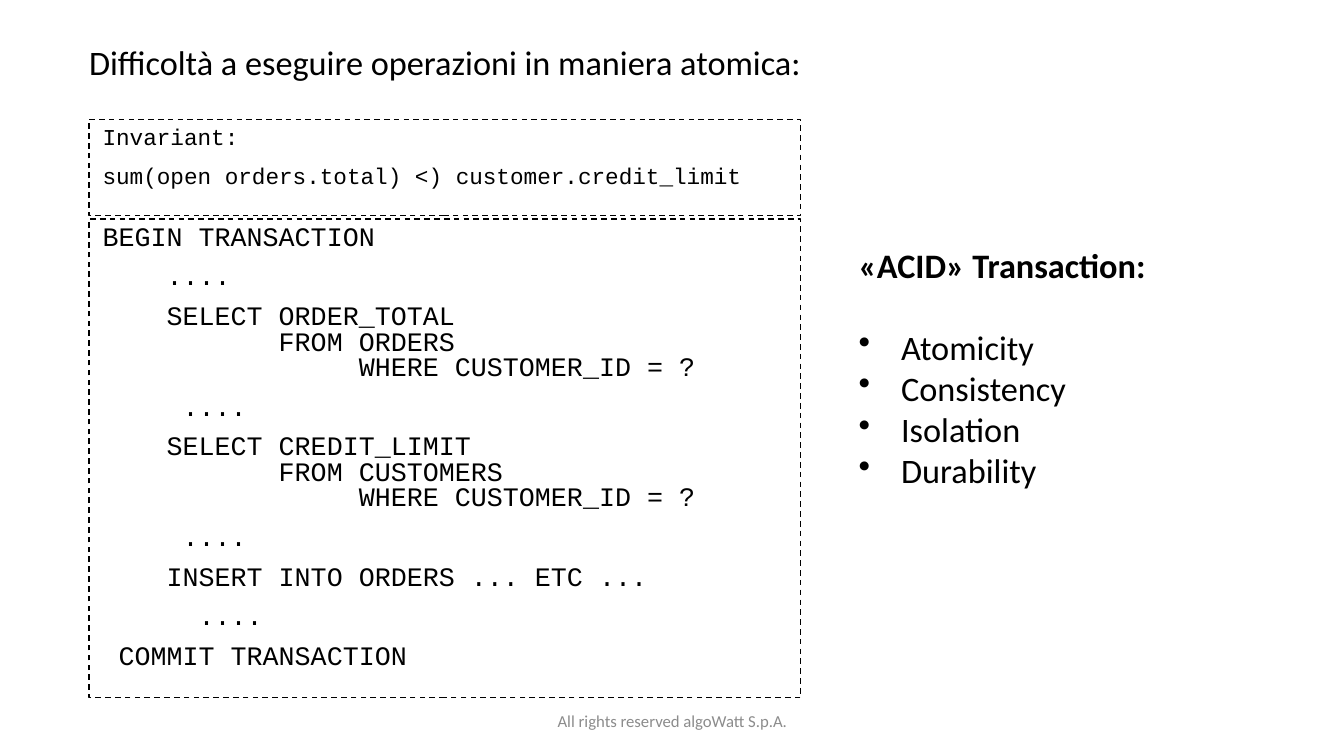
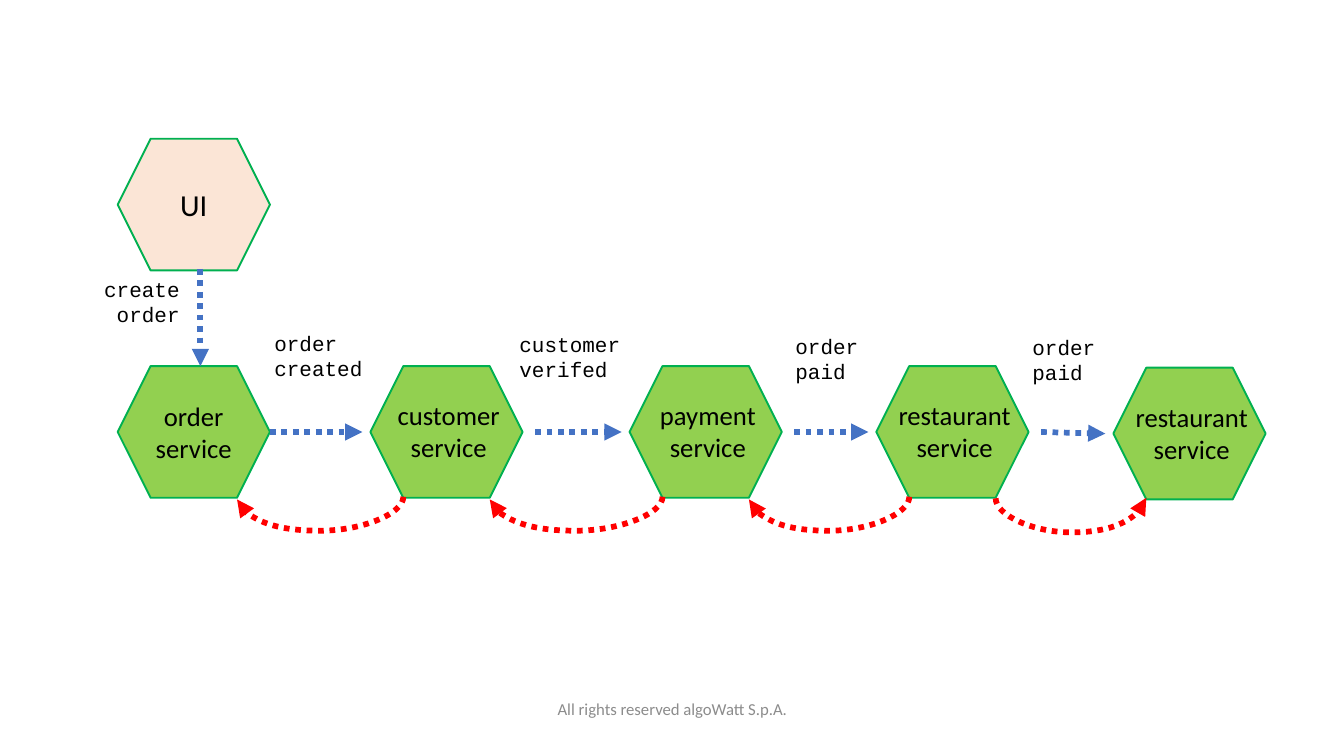
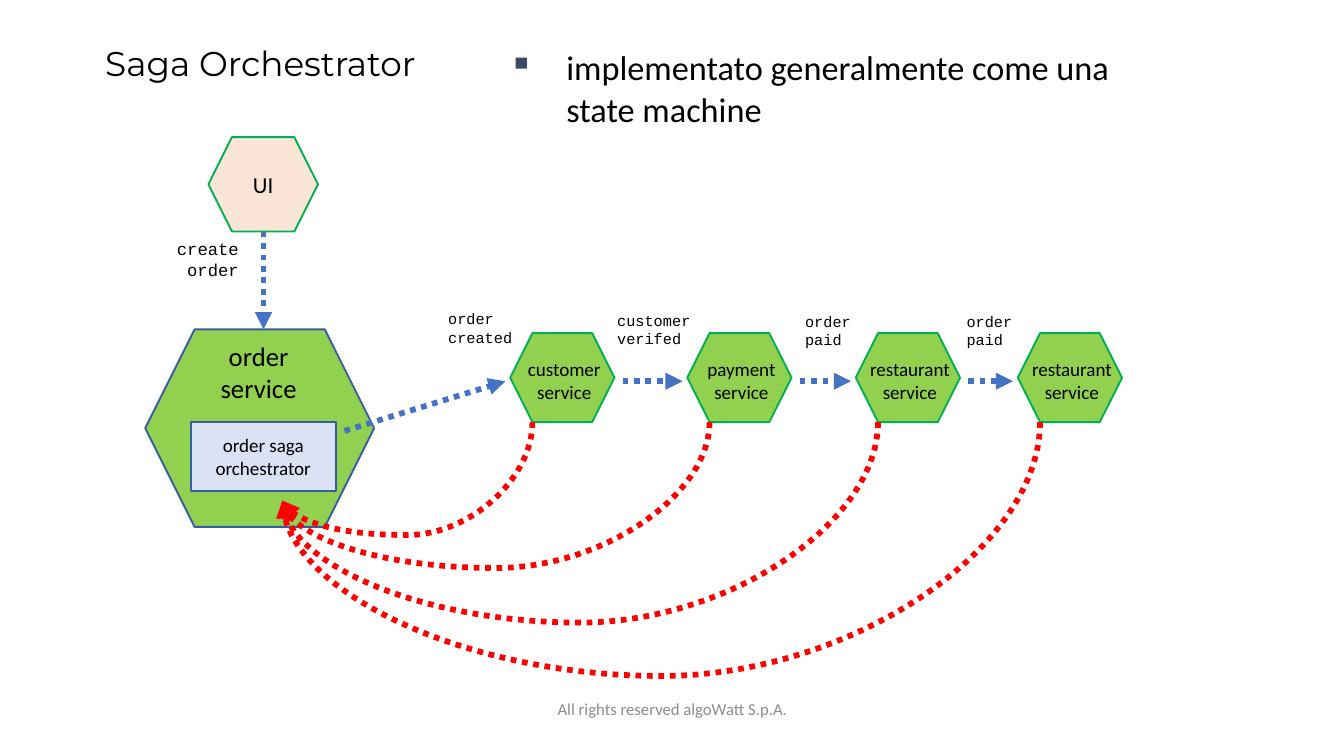
"""Build three slides on ACID transactions and saga choreography versus orchestration."""
from lxml import etree
from pptx import Presentation
from pptx import util as u
from pptx.dml import color
from pptx.enum import dml, shapes, text
from pptx.oxml import ns

COLORS = {
    "text": "000000",
    "footer": "8C8C8C",
    "service": "92D050",
    "service line": "00B050",
    "ui": "FBE5D6",
    "orchestrator": "DAE3F3",
    "orchestrator line": "365DA4",
    "event": "4472C4",
    "compensation": "FF0000",
    "bullet": "3D4965",
}
BODY, CODE, TITLE = "Calibri", "Courier New", "Montserrat"
LEFT, CENTER, RIGHT = text.PP_ALIGN.LEFT, text.PP_ALIGN.CENTER, text.PP_ALIGN.RIGHT
TOP, MIDDLE = text.MSO_ANCHOR.TOP, text.MSO_ANCHOR.MIDDLE
HEXAGON, RECTANGLE = shapes.MSO_SHAPE.HEXAGON, shapes.MSO_SHAPE.RECTANGLE
LARGE = {"hexagon": (2.82, 2.44), "label": (-0.14, 0.48, 3.18, 1.45), "size": 14}
SMALL = {"hexagon": (1.93, 1.65), "label": (-0.09, 0.33, 2.18, 1.12), "size": 10}
SERVICES = ("customer", "payment", "restaurant", "restaurant")


def rgb(name):
    return color.RGBColor.from_string(COLORS[name])


def add_bullet(paragraph, character, margin, indent, tint=None):
    properties = paragraph._p.get_or_add_pPr()
    properties.set("marL", str(u.Cm(margin)))
    properties.set("indent", str(u.Cm(indent)))
    if tint:
        holder = etree.SubElement(properties, ns.qn("a:buClr"))
        etree.SubElement(holder, ns.qn("a:srgbClr"), val=COLORS[tint])
    etree.SubElement(properties, ns.qn("a:buChar"), char=character)


def style_paragraph(paragraph, size, font=BODY, align=LEFT, tint="text", bold=False, spacing=None):
    paragraph.alignment = align
    if spacing:
        paragraph.line_spacing = spacing
    paragraph.font.size = u.Pt(size)
    paragraph.font.name = font
    paragraph.font.bold = bold
    paragraph.font.color.rgb = rgb(tint)


def write(shape, lines, size, anchor=TOP, wrap=True, before=0, bullet=None, **style):
    frame = shape.text_frame
    frame.word_wrap = wrap
    frame.vertical_anchor = anchor
    for index, line in enumerate(lines):
        paragraph = frame.paragraphs[0] if index == 0 else frame.add_paragraph()
        paragraph.text = line
        if index and before:
            paragraph.space_before = u.Pt(before)
        if bullet:
            add_bullet(paragraph, *bullet)
        style_paragraph(paragraph, size, **style)


def add_text(slide, box, lines, size, **style):
    shape = slide.shapes.add_textbox(*map(u.Cm, box))
    write(shape, lines, size, **style)
    return shape


def add_box(slide, kind, box, fill=None, line="text", width=1):
    shape = slide.shapes.add_shape(kind, *map(u.Cm, box))
    shape.shadow.inherit = False
    if fill:
        shape.fill.solid()
        shape.fill.fore_color.rgb = rgb(fill)
    else:
        shape.fill.background()
    shape.line.color.rgb = rgb(line)
    shape.line.width = u.Pt(width)
    return shape


def add_code(slide, box, lines, size, spacing):
    shape = add_box(slide, RECTANGLE, box, width=0.75)
    shape.line.dash_style = dml.MSO_LINE.DASH
    write(shape, lines, size, font=CODE, spacing=spacing, before=7.3)


def add_arrow(slide, start, end, kind=shapes.MSO_CONNECTOR.STRAIGHT, tint="event"):
    connector = slide.shapes.add_connector(kind, *map(u.Cm, (*start, *end)))
    connector.line.color.rgb = rgb(tint)
    connector.line.width = u.Pt(3)
    connector.line.dash_style = dml.MSO_LINE.ROUND_DOT
    properties = connector.element.spPr
    etree.SubElement(properties.find(ns.qn("a:ln")), ns.qn("a:tailEnd"), type="triangle")
    etree.SubElement(properties, ns.qn("a:effectLst"))
    return connector


def add_compensation(slide, start, end, bottom):
    """Curve back from a right start to a left end, dipping down to bottom."""
    (x1, y1), (x2, y2) = start, end
    connector = add_arrow(slide, start, end, shapes.MSO_CONNECTOR.CURVE, "compensation")
    width, height = abs(y2 - y1), x1 - x2
    connector.left = u.Cm((x1 + x2 - width) / 2)
    connector.top = u.Cm((y1 + y2 - height) / 2)
    connector.width, connector.height = u.Cm(width), u.Cm(height)
    frame = connector.element.spPr.find(ns.qn("a:xfrm"))
    frame.set("rot", "5400000")
    frame.set("flipH", "1" if y2 < y1 else "0")
    geometry = connector.element.spPr.find(ns.qn("a:prstGeom"))
    guides = geometry.find(ns.qn("a:avLst"))
    if guides is None:
        guides = etree.SubElement(geometry, ns.qn("a:avLst"))
    bend = round((bottom - y1) / (y2 - y1) * 100000)
    etree.SubElement(guides, ns.qn("a:gd"), name="adj1", fmla=f"val {bend}")


def add_service(slide, left, top, name, scale):
    add_box(slide, HEXAGON, (left, top, *scale["hexagon"]), "service", "service line")
    dx, dy, width, height = scale["label"]
    add_text(slide, (left + dx, top + dy, width, height), (name, "service"), scale["size"], align=CENTER)


def add_ui(slide, box, size):
    shape = add_box(slide, HEXAGON, box, "ui", "service line")
    write(shape, ["UI"], size, anchor=MIDDLE, align=CENTER)


def add_events(slide, events, height, size):
    for left, top, width, lines in events:
        add_text(slide, (left, top, width, height), lines, size, font=CODE)


def new_slide(presentation, footer_top=12.75):
    slide = presentation.slides.add_slide(presentation.slide_layouts[6])
    add_text(slide, (8.25, footer_top, 8.41, 0.74), ["All rights reserved algoWatt S.p.A."], 8.8,
             anchor=MIDDLE, align=CENTER, tint="footer")
    return slide


def build_transaction(presentation):
    slide = new_slide(presentation, 12.98)
    add_code(slide, (1.65, 4.06, 13.18, 8.86), (
        "BEGIN TRANSACTION",
        "    ....",
        "    SELECT ORDER_TOTAL\n           FROM ORDERS\n                WHERE CUSTOMER_ID = ?",
        "     ....",
        "    SELECT CREDIT_LIMIT\n           FROM CUSTOMERS\n                WHERE CUSTOMER_ID = ?",
        "     ....",
        "    INSERT INTO ORDERS ... ETC ...",
        "      ....",
        " COMMIT TRANSACTION",
    ), 14, 0.8)
    add_code(slide, (1.65, 2.21, 13.18, 1.78),
             ("Invariant:", "sum(open orders.total) <) customer.credit_limit"), 11.9, 0.9)
    acid = add_text(slide, (15.65, 4.39, 5.89, 4.88), ["«ACID» Transaction:"], 18, wrap=False, bold=True)
    for index, name in enumerate(("Atomicity", "Consistency", "Isolation", "Durability")):
        paragraph = acid.text_frame.add_paragraph()
        paragraph.text = name
        if index == 0:
            paragraph.space_before = u.Pt(21.6)
        add_bullet(paragraph, "•", 0.79, -0.79)
        style_paragraph(paragraph, 18)
    add_text(slide, (1.4, 0.64, 13.87, 1.02),
             ["Difficoltà a eseguire operazioni in maniera atomica:"], 18, wrap=False)


def build_choreography(presentation):
    slide = new_slide(presentation)
    width, height = LARGE["hexagon"]
    order_left, row = 2.18, 6.78
    order = add_box(slide, HEXAGON, (order_left, row, width, height), "service", "service line")
    write(order, ("order", "service"), 14, anchor=MIDDLE, align=CENTER)
    add_ui(slide, (order_left, 2.57, width, height), 16)
    add_arrow(slide, (3.71, 4.98), (3.71, row))
    add_text(slide, (0.99, 5, 2.59, 1.19), ("create", "order"), 11, font=CODE, align=RIGHT)

    lefts, tops = (6.86, 11.66, 16.23, 20.62), (row, row, row, 6.81)
    previous, gap, previous_top = order_left, 0, row
    for name, left, top in zip(SERVICES, lefts, tops):
        add_service(slide, left, top, name, LARGE)
        add_arrow(slide, (previous + width + gap, previous_top + 1.22), (left - 0.15, top + 1.22))
        end_bottom = 9.25 if top == row else 9.22
        add_compensation(slide, (left + 0.61, top + height - 0.02), (previous + width - 0.61, end_bottom),
                         top + 3.05)
        previous, gap, previous_top = left, 0.23, top
    add_events(slide, (
        (4.83, 5.99, 2.87, ["order\ncreated"]),
        (9.37, 6.02, 4.42, ("customer", "verifed")),
        (14.48, 6.05, 4.42, ("order", "paid")),
        (18.87, 6.07, 4.42, ("order", "paid")),
    ), 1.19, 11)


def build_orchestrator(presentation):
    slide = new_slide(presentation)
    width, height = SMALL["hexagon"]
    row, arrow_row = 6.17, 7.06
    add_box(slide, HEXAGON, (2.69, 6.1, 4.24, 3.66), "service", "orchestrator line")
    add_ui(slide, (3.86, 2.54, 2.03, 1.75), 12)
    add_arrow(slide, (4.88, 4.29), (4.88, 6.1))
    add_text(slide, (2.64, 4.29, 2.03, 1.02), ("create", "order"), 9, font=CODE, align=RIGHT)

    start = (6.38, 7.98)
    for name, left, bottom in zip(SERVICES, (9.45, 12.73, 15.85, 18.85), (9.91, 10.52, 11.53, 12.52)):
        add_service(slide, left, row, name, SMALL)
        add_arrow(slide, start, (left - 0.09, arrow_row))
        add_compensation(slide, (left + 0.41, row + height), (5.23, 9.27), bottom)
        start = (left + width + 0.15, arrow_row)
    add_events(slide, (
        (8.05, 5.61, 1.96, ["order\ncreated"]),
        (11.18, 5.64, 3.02, ["customer verifed"]),
        (14.66, 5.66, 3.02, ("order", "paid")),
        (17.65, 5.66, 3.02, ("order", "paid")),
    ), 0.94, 8)

    add_text(slide, (2.95, 6.17, 3.68, 1.45), ("order", "service"), 14, align=CENTER)
    saga = add_box(slide, RECTANGLE, (3.53, 7.82, 2.69, 1.27), "orchestrator", "orchestrator line")
    write(saga, ("order saga", "orchestrator"), 10, anchor=MIDDLE, align=CENTER)
    add_text(slide, (1.7, 0.74, 21.46, 1.09), ["Saga Orchestrator"], 18, font=TITLE, spacing=0.9)
    add_text(slide, (8.97, 0.74, 12.45, 1.8), ["implementato generalmente come una state machine"], 18,
             bullet=("▪", 1.27, -1.07, "bullet"))


def main():
    presentation = Presentation()
    presentation.slide_width, presentation.slide_height = u.Cm(24.89), u.Cm(14)
    build_transaction(presentation)
    build_choreography(presentation)
    build_orchestrator(presentation)
    presentation.save("out.pptx")


if __name__ == "__main__":
    main()
